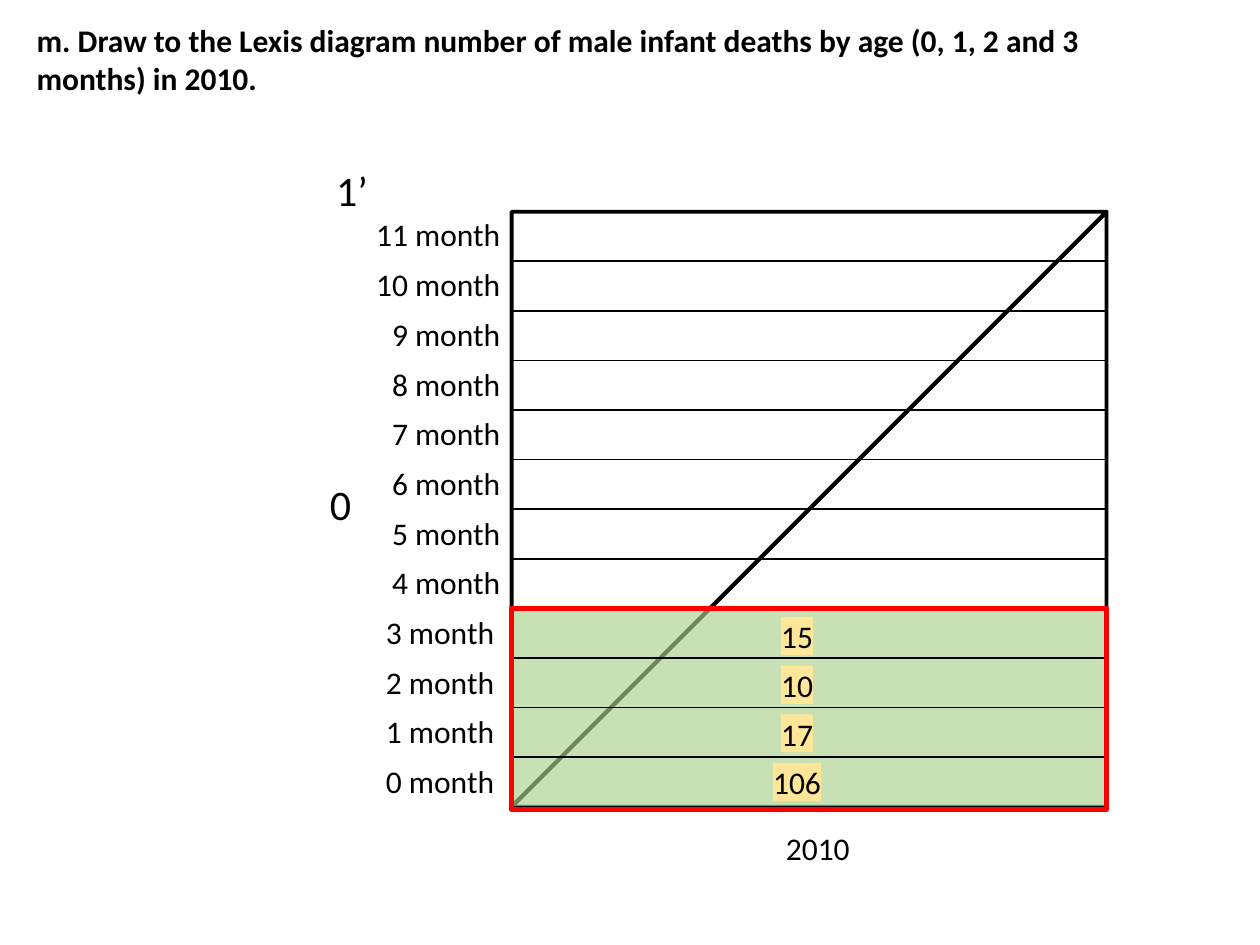
import pptx
import pptx.dml.color
import pptx.enum.shapes
import pptx.enum.text
import pptx.oxml.ns
import pptx.util
from lxml import etree

Pt = pptx.util.Pt
SHAPE = pptx.enum.shapes.MSO_SHAPE
ALIGN = pptx.enum.text.PP_ALIGN
ANCHOR = pptx.enum.text.MSO_ANCHOR


def colour(value):
    return pptx.dml.color.RGBColor.from_string(value)


class LexisSlide:
    """Holds the style and the slide, and draws each kind of element."""

    font_name = "Calibri"
    ink = "000000"
    body_size = 18

    def __init__(self, slide):
        self.slide = slide

    def set_words(self, frame, words, size, align, bold=False):
        frame.text = words
        paragraph = frame.paragraphs[0]
        paragraph.alignment = align
        font = paragraph.font
        font.name, font.size, font.bold = self.font_name, Pt(size), bold
        font.color.rgb = colour(self.ink)

    def title(self, words, left, top, width, height):
        heading = self.slide.shapes.title
        heading.left, heading.top = Pt(left), Pt(top)
        heading.width, heading.height = Pt(width), Pt(height)
        frame = heading.text_frame
        frame.word_wrap = True
        frame.auto_size = pptx.enum.text.MSO_AUTO_SIZE.NONE
        frame.vertical_anchor = ANCHOR.TOP
        self.set_words(frame, words, self.body_size, ALIGN.LEFT, bold=True)

    def label(self, words, left, top, width, height=29, size=body_size, align=ALIGN.LEFT):
        box = self.slide.shapes.add_textbox(Pt(left), Pt(top), Pt(width), Pt(height))
        box.text_frame.word_wrap = False
        self.set_words(box.text_frame, words, size, align)

    def shape(self, kind, left, top, width, height, fill=None, opacity=100,
              line=None, weight=1, rotation=0):
        part = self.slide.shapes.add_shape(kind, Pt(left), Pt(top), Pt(width), Pt(height))
        part.shadow.inherit = False
        part.rotation = rotation
        if fill:
            part.fill.solid()
            part.fill.fore_color.rgb = colour(fill)
            if opacity < 100:
                tint = part.element.spPr.find(".//" + pptx.oxml.ns.qn("a:srgbClr"))
                etree.SubElement(tint, pptx.oxml.ns.qn("a:alpha"), val=str(opacity * 1000))
        else:
            part.fill.background()
        if line:
            part.line.color.rgb = colour(line)
            part.line.width = Pt(weight)
        else:
            part.line.fill.background()
        return part

    def count(self, words, centre, top):
        width = 9.1 * len(words)
        tag = self.shape(SHAPE.RECTANGLE, centre - width / 2, top, width, 21.8, fill="FFE699")
        frame = tag.text_frame
        frame.margin_left = frame.margin_right = frame.margin_top = frame.margin_bottom = 0
        frame.word_wrap = False
        self.set_words(frame, words, self.body_size, ALIGN.CENTER)


def main():
    deck = pptx.Presentation()
    deck.slide_width, deck.slide_height = Pt(720), Pt(540)
    lexis = LexisSlide(deck.slides.add_slide(deck.slide_layouts[5]))

    lexis.title("m. Draw to the Lexis diagram number of male infant deaths by age "
                "(0, 1, 2 and 3 months) in 2010.", 13.7, 8.6, 625, 51)

    left, top, side, months = 292.3, 121, 340, 12
    band = side / months
    deaths = ["106", "17", "10", "15"]

    for rotation in (270, 90):
        lexis.shape(SHAPE.RIGHT_TRIANGLE, left, top, side, side, fill="FFFFFF",
                    line="000000", weight=2.25, rotation=rotation)

    lexis.label("2010", 442, 470, 51)
    lexis.label("0", 181.4, 270, 26.6, 36, size=24)
    lexis.label("1’", 185, 90.7, 33, 36, size=24)

    for month in range(months - 1):
        lexis.shape(SHAPE.RECTANGLE, left, top + side - band * (month + 1), side, band,
                    fill="A9D18E" if month < len(deaths) else None, opacity=65, line="000000")

    for month in range(months):
        right = 289.5 if month < len(deaths) else 293
        width = 77 if month < 10 else 86
        lexis.label(f"{month} month", right - width, 432 - 28.4 * month, width,
                    align=ALIGN.RIGHT)

    for month, number in enumerate(deaths):
        lexis.count(number, 455.5, 436 - 27.8 * month)

    lexis.shape(SHAPE.RECTANGLE, left, top + side - band * len(deaths), side, 115,
                line="FF0000", weight=3)

    deck.save("out.pptx")


if __name__ == "__main__":
    main()
